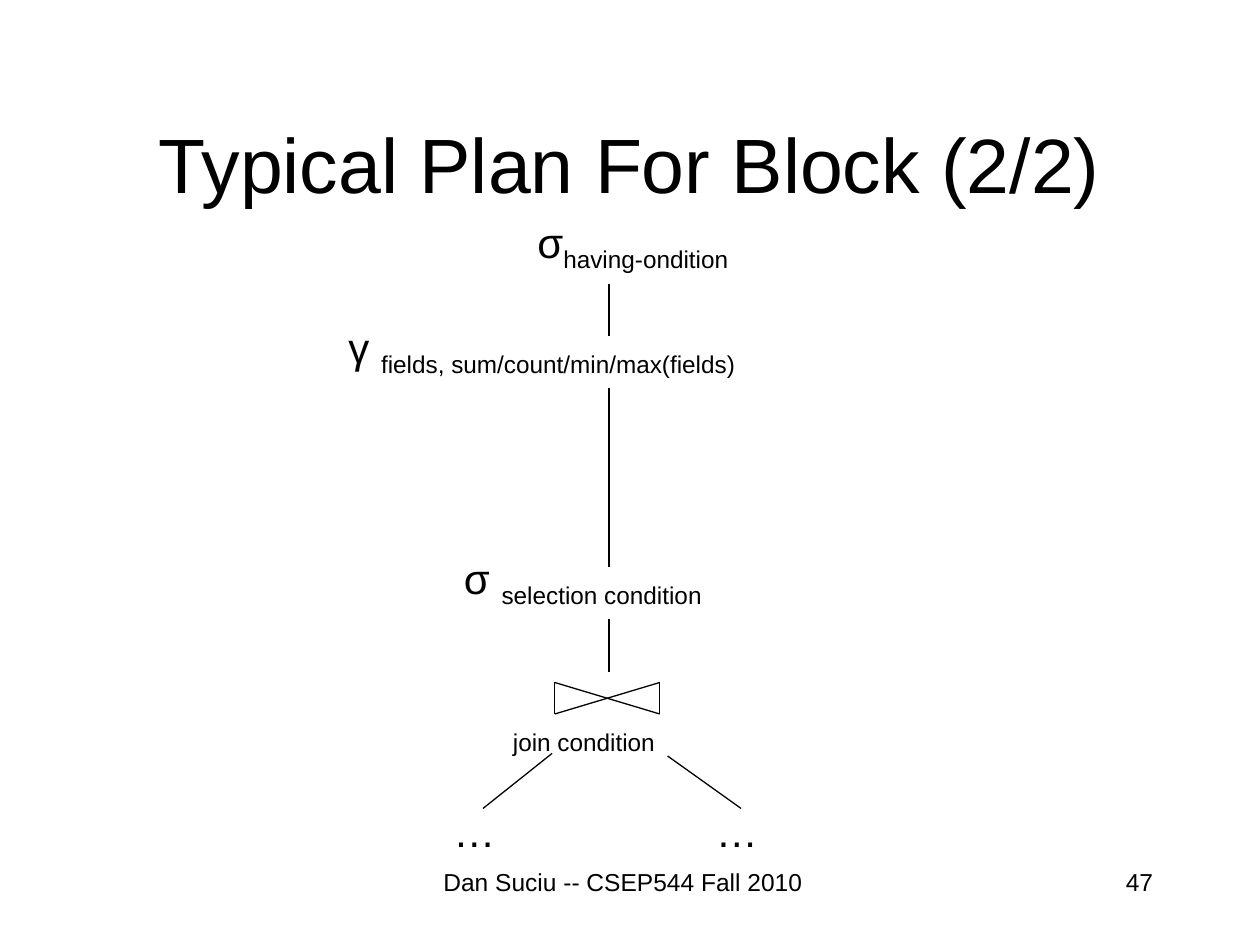
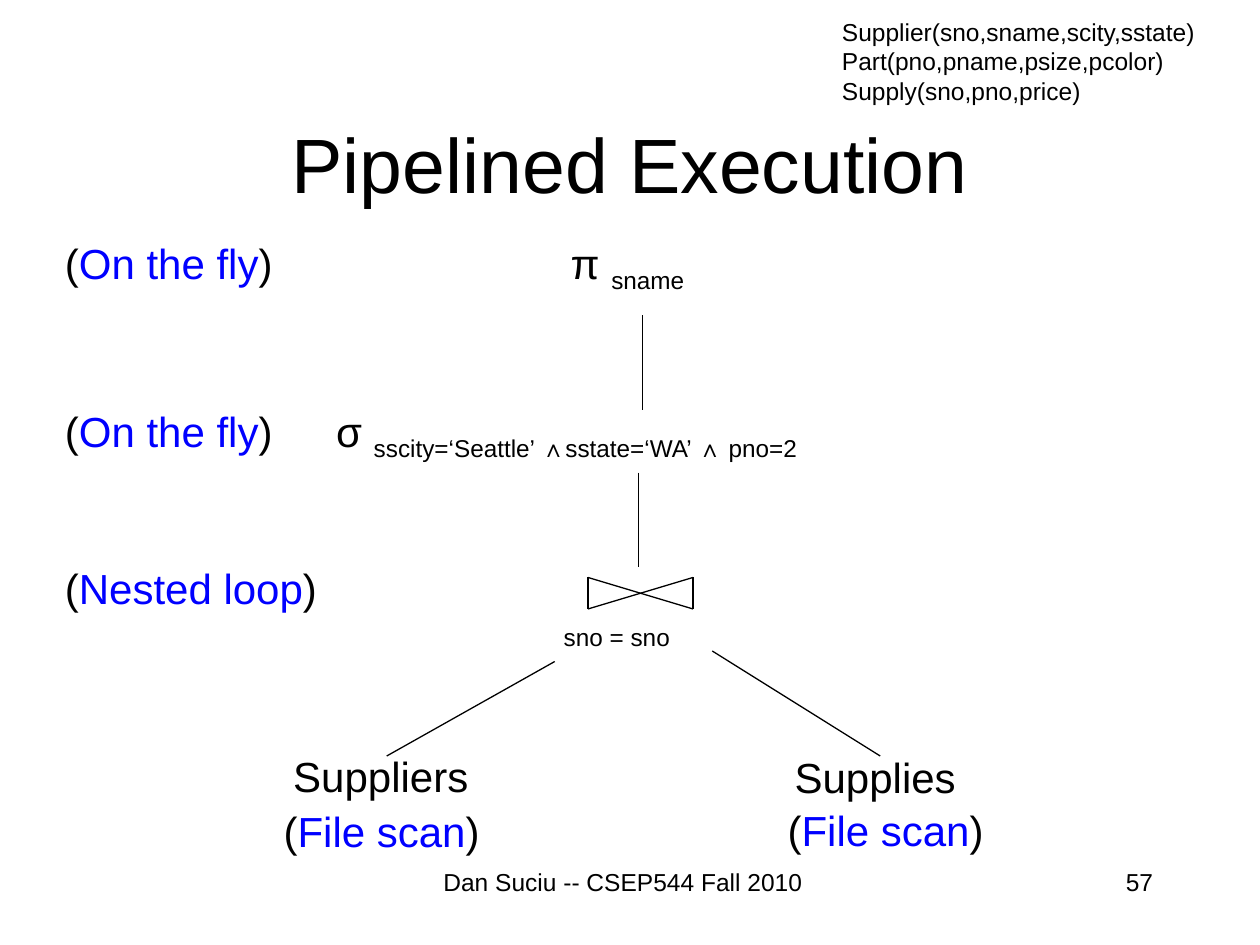
from dataclasses import dataclass

from lxml import etree
from pptx import Presentation
from pptx.dml.color import RGBColor
from pptx.enum import shapes, text
from pptx.oxml import ns
from pptx.util import Pt


@dataclass(frozen=True)
class Theme:
    face: str = "Arial"
    ink: RGBColor = RGBColor(0, 0, 0)
    accent: RGBColor = RGBColor(0, 0, 255)
    title: int = 44
    body: int = 24
    small: int = 14
    rule: float = 0.75


THEME = Theme()
SUB, HUE = "sub", "hue"
LEFT, MID, RIGHT = text.PP_ALIGN.LEFT, text.PP_ALIGN.CENTER, text.PP_ALIGN.RIGHT
ROW = 37  # height of a one-line label


def write(slide, box, lines, size=THEME.body, align=LEFT, wrap=False, anchor=text.MSO_ANCHOR.TOP):
    """Add a text box; each line is a list of (words, style) runs."""
    frame = slide.shapes.add_textbox(*map(Pt, box)).text_frame
    frame.word_wrap = wrap
    frame.vertical_anchor = anchor
    if not wrap:
        frame.auto_size = text.MSO_AUTO_SIZE.SHAPE_TO_FIT_TEXT
    for i, line in enumerate(lines):
        par = frame.add_paragraph() if i else frame.paragraphs[0]
        par.alignment = align
        par.font.name, par.font.size = THEME.face, Pt(size)
        par.font.color.rgb = THEME.ink
        for words, style in line:
            run = par.add_run()
            run.text = words
            if style == SUB:
                run._r.get_or_add_rPr().set("baseline", "-25000")
            elif style == HUE:
                run.font.color.rgb = THEME.accent


def link(group, x1, y1, x2, y2):
    line = group.add_connector(shapes.MSO_CONNECTOR.STRAIGHT, *map(Pt, (x1, y1, x2, y2)))
    line.line.color.rgb = THEME.ink
    line.line.width = Pt(THEME.rule)
    etree.SubElement(line._element.spPr, ns.qn("a:effectLst"))


def bowtie(slide, x, y, w=60, h=18):
    """Draw the join sign."""
    group = slide.shapes.add_group_shape().shapes
    for ends in ((0, 0, 0, h), (w, 0, w, h), (0, 0, w, h), (w, 0, 0, h)):
        link(group, x + ends[0], y + ends[1], x + ends[2], y + ends[3])


def tree(slide, box, labels, links, sign):
    """Draw a plan; all places are offsets from the corner of the box."""
    left, top = box
    for x, y, width, runs in labels:
        write(slide, (left + x, top + y, width, ROW), [runs])
    for x1, y1, x2, y2 in links:
        link(slide.shapes, left + x1, top + y1, left + x2, top + y2)
    bowtie(slide, left + sign[0], top + sign[1])


def op(sign, cond):
    return [(sign, None), (cond, SUB)]


def how(words):
    return [("(", None), (words, HUE), (")", None)]


def block(slide, box):
    dots = [("…", None)]
    labels = [
        (108, 0, 139, op("σ", "having-ondition")),
        (0, 60, 266, op("γ ", "fields, sum/count/min/max(fields)")),
        (66, 192, 168, op("σ ", "selection condition")),
        (94, 276, 110, [("join condition", SUB)]),
        (60, 337, 39, dots),
        (210, 337, 39, dots),
    ]
    stem = [(156, a, 156, b) for a, b in ((42, 72), (102, 204), (234, 264))]
    arms = [(123.5, 310.5, 84, 342), (189.5, 312, 231.5, 342)]
    tree(slide, box, labels, stem + arms, (125, 270))


def pipeline(slide, box):
    labels = [
        (164, 0, 82, op("π ", "sname")),
        (30, 96, 304, op("σ ", "sscity=‘Seattle’ ∧sstate=‘WA’ ∧ pno=2")),
        (160, 204, 85, [("sno = sno", SUB)]),
        (5.5, 293.5, 116, [("Suppliers", None)]),
        (292, 294, 107, [("Supplies", None)]),
        (0, 325, 127.5, how("File scan")),
        (288, 324, 127.5, how("File scan")),
    ]
    stem = [(212, 48, 212, 102), (210, 138, 210, 192)]
    arms = [(162, 246, 66, 300), (252, 240, 348, 300)]
    tree(slide, box, labels, stem + arms, (181, 198))


def methods(slide, box):
    left, top = box
    steps = ((0, 134.5, "On the fly"), (96, 134.5, "On the fly"), (186, 160, "Nested loop"))
    for y, width, words in steps:
        write(slide, (left, top + y, width, ROW), [how(words)])


def schema(slide, box):
    tables = ("Supplier(sno,sname,scity,sstate)", "Part(pno,pname,psize,pcolor)", "Supply(sno,pno,price)")
    write(slide, box, [[(name, None)] for name in tables], THEME.small)


def base(deck, title, number):
    """Add a slide with its title, footer and page number."""
    slide = deck.slides.add_slide(deck.slide_layouts[6])
    parts = (
        ((54, 48, 612, 90), title, THEME.title, MID, text.MSO_ANCHOR.MIDDLE),
        ((242, 492, 228, 36), "Dan Suciu -- CSEP544 Fall 2010", THEME.small, MID, text.MSO_ANCHOR.TOP),
        ((516, 492, 150, 36), str(number), THEME.small, RIGHT, text.MSO_ANCHOR.TOP),
    )
    for box, words, size, align, anchor in parts:
        write(slide, box, [[(words, None)]], size, align, True, anchor)
    return slide


def main():
    deck = Presentation()
    deck.slide_width, deck.slide_height = Pt(720), Pt(540)
    block(base(deck, "Typical Plan For Block (2/2)", 47), (192, 120))
    slide = base(deck, "Pipelined Execution", 57)
    pipeline(slide, (155, 132))
    methods(slide, (30, 132))
    schema(slide, (474, 6, 217, 58))
    deck.save("out.pptx")


if __name__ == "__main__":
    main()
